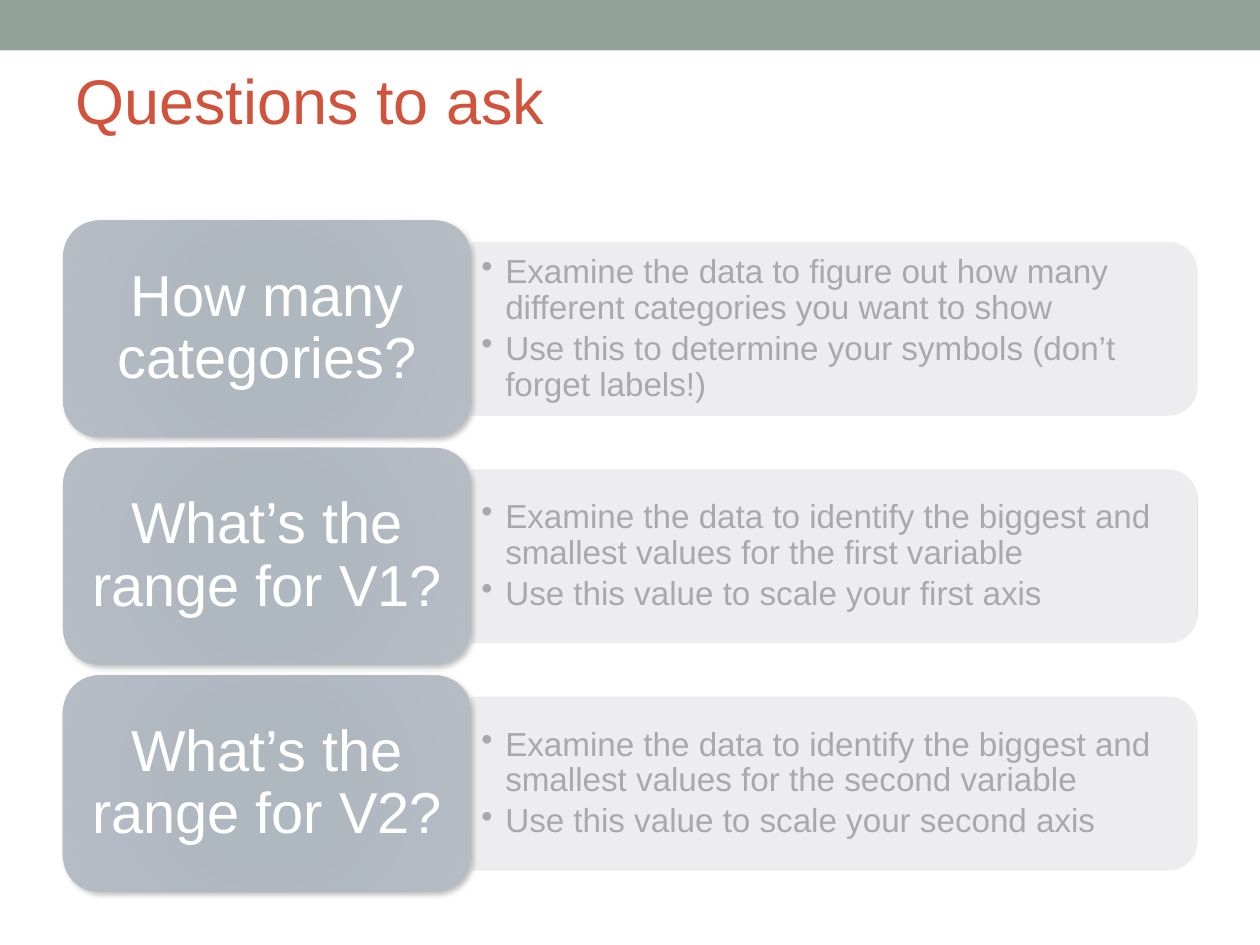
"""Build the "Questions to ask" slide: three questions with advice, under pale veils."""
from lxml.etree import SubElement
from pptx import Presentation
from pptx.dml.color import RGBColor
from pptx.enum.shapes import MSO_SHAPE
from pptx.enum.text import MSO_ANCHOR, PP_ALIGN
from pptx.oxml import parse_xml
from pptx.oxml.ns import nsdecls, qn
from pptx.util import Inches, Pt

COLORS = {
    "band": "93A299", "title": "D2533C", "panel": "CED0D3",
    "text": "292934", "white": "FFFFFF", "shadow": "000000",
}
CARD_STOPS = [(0, "384B60"), (34, "394B5F"), (70, "41546B"), (100, "4B5A6A")]
QUESTIONS = [
    ("How many categories?", [
        "Examine the data to figure out how many different categories you want to show",
        "Use this to determine your symbols (don’t forget labels!)"]),
    ("What’s the range for V1?", [
        "Examine the data to identify the biggest and smallest values for the first variable",
        "Use this value to scale your first axis"]),
    ("What’s the range for V2?", [
        "Examine the data to identify the biggest and smallest values for the second variable",
        "Use this value to scale your second axis"]),
]
FIRST_TOP, PITCH = 1.75, 1.805
CARD_LEFT, CARD_WIDTH, CARD_HEIGHT = 0.5, 3.24, 1.72
PANEL_LENGTH, PANEL_HEIGHT = 5.76, 1.37
VEIL_LEFTS, VEIL_TOP, VEIL_HEIGHT = (0.33, 0.25, 0.5), 1.67, 1.83


def add_filled_shape(kind, left, top, width, height, color, opacity=100):
    shape = slide.shapes.add_shape(
        kind, Inches(left), Inches(top), Inches(width), Inches(height))
    shape.shadow.inherit = False
    shape.fill.solid()
    shape.fill.fore_color.rgb = RGBColor.from_string(COLORS[color])
    shape.line.fill.background()
    if opacity < 100:
        fill_color = shape._element.spPr.find(qn("a:solidFill"))[0]
        SubElement(fill_color, qn("a:alpha"), val=str(opacity * 1000))
    return shape


def set_text(shape, lines, size, color, inset_x, inset_y, spacing=1.0,
             align=PP_ALIGN.LEFT, bullets=False):
    frame = shape.text_frame
    frame.word_wrap = True
    frame.vertical_anchor = MSO_ANCHOR.MIDDLE
    frame.margin_left = frame.margin_right = Inches(inset_x)
    frame.margin_top = frame.margin_bottom = Inches(inset_y)
    frame.text = "\n".join(lines)
    for index, para in enumerate(frame.paragraphs):
        para.alignment = align
        para.line_spacing = spacing
        if index:
            para.space_before = Pt(2.9)
        if bullets:
            properties = para._p.get_or_add_pPr()
            properties.set("marL", str(Inches(0.19)))
            properties.set("indent", str(Inches(-0.19)))
            SubElement(properties, qn("a:buChar"), char="•")
        para.font.name = "Arial"
        para.font.size = Pt(size)
        para.font.color.rgb = RGBColor.from_string(COLORS[color])


deck = Presentation()
deck.slide_width, deck.slide_height = Inches(10), Inches(7.5)
slide = deck.slides.add_slide(deck.slide_layouts[6])

add_filled_shape(MSO_SHAPE.RECTANGLE, 0, 0, 10, 0.4, "band")
title = slide.shapes.add_textbox(Inches(0.5), Inches(0.25), Inches(9), Inches(1.08))
set_text(title, ["Questions to ask"], 36, "title", 0.1, 0.05)

stops = "".join(
    f'<a:gs pos="{position * 1000}"><a:srgbClr val="{color}"/></a:gs>'
    for position, color in CARD_STOPS)
panel_left = CARD_LEFT + CARD_WIDTH
for row, (question, advice) in enumerate(QUESTIONS):
    top = FIRST_TOP + row * PITCH
    middle = top + CARD_HEIGHT / 2

    panel = add_filled_shape(
        MSO_SHAPE.ROUND_2_SAME_RECTANGLE,
        panel_left + (PANEL_LENGTH - PANEL_HEIGHT) / 2, middle - PANEL_LENGTH / 2,
        PANEL_HEIGHT, PANEL_LENGTH, "panel", 90)
    panel.rotation = 90
    panel.adjustments[0] = 0.167
    panel.line.color.rgb = RGBColor.from_string(COLORS["panel"])
    panel.line.width = Pt(0.75)
    line_color = panel.line._ln.find(qn("a:solidFill"))[0]
    SubElement(line_color, qn("a:alpha"), val="90000")

    advice_box = slide.shapes.add_textbox(
        Inches(panel_left), Inches(middle - 0.62), Inches(5.69), Inches(1.24))
    set_text(advice_box, advice, 19, "text", 0.08, 0.04, 0.9, bullets=True)

    card = add_filled_shape(MSO_SHAPE.ROUNDED_RECTANGLE, CARD_LEFT, top,
                            CARD_WIDTH, CARD_HEIGHT, "panel")
    card.adjustments[0] = 0.167
    card_properties = card._element.spPr
    card_properties.replace(card_properties.find(qn("a:solidFill")), parse_xml(
        f'<a:gradFill {nsdecls("a")} rotWithShape="1"><a:gsLst>{stops}</a:gsLst>'
        '<a:path path="circle"><a:fillToRect l="50000" t="50000" r="50000" b="50000"/>'
        '</a:path></a:gradFill>'))
    card_properties.find(qn("a:effectLst")).append(parse_xml(
        f'<a:outerShdw {nsdecls("a")} blurRad="{Pt(3)}" dist="{Pt(2)}" dir="2700000" '
        f'rotWithShape="0"><a:srgbClr val="{COLORS["shadow"]}"><a:alpha val="60000"/>'
        '</a:srgbClr></a:outerShdw>'))
    set_text(card, [question], 33, "white", 0.13, 0.07, 0.9, PP_ALIGN.CENTER)

for row, left in enumerate(VEIL_LEFTS):
    add_filled_shape(MSO_SHAPE.RECTANGLE, left, VEIL_TOP + row * VEIL_HEIGHT,
                     9.25, VEIL_HEIGHT, "white", 60)

deck.save("out.pptx")
